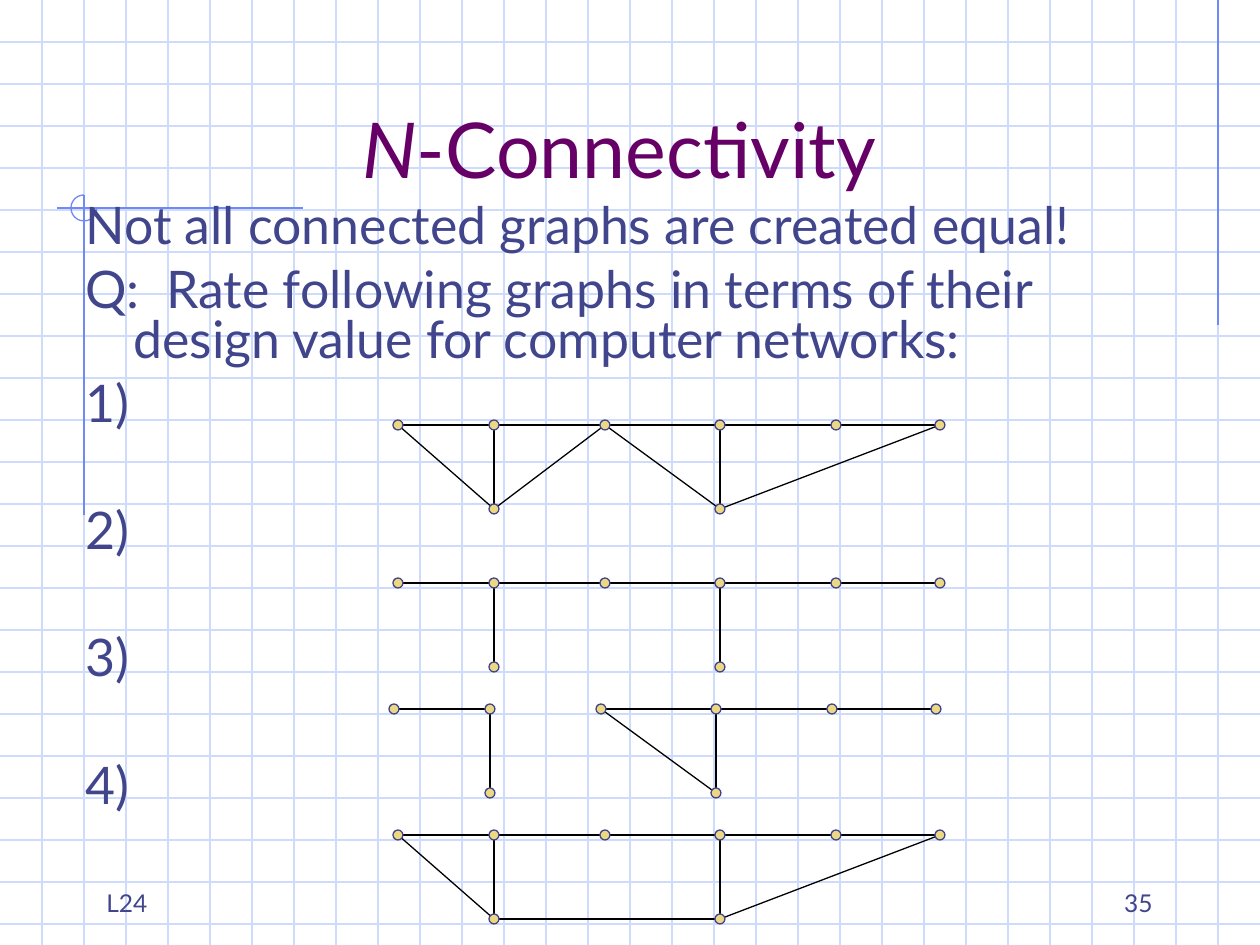
from math import hypot

from lxml.etree import SubElement
from pptx import Presentation
from pptx.dml.color import RGBColor
from pptx.enum.shapes import MSO_CONNECTOR as Connector, MSO_SHAPE as Shape
from pptx.enum.text import MSO_ANCHOR as Anchor, PP_ALIGN as Align
from pptx.oxml.ns import qn
from pptx.util import Pt

WIDTH, HEIGHT = 1260, 945
GRID_STEP = 42
NODE_RADIUS = 5

# Node positions shared by every graph, relative to its top row
NODES = {
    "a": (398, 0), "b": (494, 0), "c": (605, 0),
    "d": (720, 0), "e": (836, 0), "f": (940, 0),
    "g": (494, 84), "h": (720, 84),
}
# Each graph: horizontal shift, top row, edges
GRAPHS = [
    (0, 425, "ab bc cd de ef bg dh ag gc ch hf"),
    (0, 583, "ab bc cd de ef bg dh"),
    (-4, 709, "ab cd de ef bg dh ch"),
    (0, 835, "ab bc cd de ef bg dh ag gh hf"),
]
# Each paragraph: text, space before in points
BODY = [
    ("Not all connected graphs are created equal!", 8),
    ("Q:  Rate following graphs in terms of their design value "
     "for computer networks:", 8),
    ("1)", 8),
    ("2)", 44.4),
    ("3)", 44.4),
    ("4)", 44.4),
]


def emu(px):
    return round(px * 914400 / 126)


def color(text):
    return RGBColor.from_string(text)


class SlideBuilder:
    font = "Lato"
    ink = "40458C"
    title_color = "660066"
    grid = "CFDBFD"
    accent = "6F89F7"
    node_fill = "ECD882"
    edge = "000000"
    line_width = Pt(0.75)

    def __init__(self, page):
        self.page = page

    def line(self, x1, y1, x2, y2, stroke):
        line = self.page.shapes.add_connector(
            Connector.STRAIGHT, emu(x1), emu(y1), emu(x2), emu(y2))
        line.line.color.rgb = color(stroke)
        line.line.width = self.line_width
        SubElement(line._element.spPr, qn("a:effectLst"))

    def round_shape(self, kind, x, y, radius, stroke, fill=None):
        """Add a shape centred on x, y."""
        shape = self.page.shapes.add_shape(
            kind, emu(x - radius), emu(y - radius),
            emu(2 * radius), emu(2 * radius))
        shape.shadow.inherit = False
        shape.line.color.rgb = color(stroke)
        shape.line.width = self.line_width
        if fill:
            shape.fill.solid()
            shape.fill.fore_color.rgb = color(fill)
        else:
            shape.fill.background()
        return shape

    def text(self, left, top, width, height, anchor=Anchor.BOTTOM):
        box = self.page.shapes.add_textbox(
            emu(left), emu(top), emu(width), emu(height))
        frame = box.text_frame
        frame.word_wrap = True
        frame.vertical_anchor = anchor
        return frame

    def span(self, para, text, size, ink=None, italic=False):
        span = para.add_run()
        span.text = text
        span.font.name = self.font
        span.font.size = Pt(size)
        span.font.italic = italic
        span.font.color.rgb = color(ink or self.ink)

    def background(self):
        for y in range(GRID_STEP, HEIGHT, GRID_STEP):
            self.line(0, y, WIDTH, y, self.grid)
        for x in range(GRID_STEP, WIDTH, GRID_STEP):
            self.line(x, 0, x, HEIGHT, self.grid)
        self.line(1218, 0, 1218, 325, self.accent)
        self.line(303, 208, 57, 208, self.accent)
        self.line(84, 195, 84, 515, self.accent)
        arc = self.round_shape(Shape.ARC, 84, 208, 13, self.accent)
        # Angles are in units of 100000/60000 degree: 0 to 270 degrees
        arc.adjustments[0] = 0
        arc.adjustments[1] = 162

    def title(self):
        para = self.text(84, 42, 1071, 158).paragraphs[0]
        para.alignment = Align.CENTER
        self.span(para, "N", 44, self.title_color, italic=True)
        self.span(para, "-Connectivity", 44, self.title_color)

    def body(self):
        frame = self.text(73, 199, 1113, 746, Anchor.TOP)
        for index, (text, space) in enumerate(BODY):
            para = frame.add_paragraph() if index else frame.paragraphs[0]
            para.line_spacing = 0.8
            para.space_before = Pt(space)
            properties = para._p.get_or_add_pPr()
            properties.set("marL", str(emu(48)))
            properties.set("indent", str(emu(-48)))
            self.span(para, text, 29.6)

    def footer(self, left, text, alignment):
        para = self.text(left, 861, 262, 63).paragraphs[0]
        para.alignment = alignment
        self.span(para, text, 14)

    def graph(self, shift, top, edges):
        """Draw edges from rim to rim, then the nodes."""
        spots = {name: (x + shift, y + top) for name, (x, y) in NODES.items()}
        for start, end in edges.split():
            (x1, y1), (x2, y2) = spots[start], spots[end]
            trim = NODE_RADIUS / hypot(x2 - x1, y2 - y1)
            dx, dy = (x2 - x1) * trim, (y2 - y1) * trim
            self.line(x1 + dx, y1 + dy, x2 - dx, y2 - dy, self.edge)
        for x, y in spots.values():
            self.round_shape(Shape.OVAL, x, y, NODE_RADIUS,
                             self.ink, self.node_fill)


def main():
    deck = Presentation()
    deck.slide_width, deck.slide_height = emu(WIDTH), emu(HEIGHT)
    page = deck.slides.add_slide(deck.slide_layouts[6])
    builder = SlideBuilder(page)
    builder.background()
    builder.title()
    builder.body()
    for graph in GRAPHS:
        builder.graph(*graph)
    builder.footer(903, "35", Align.RIGHT)
    builder.footer(94, "L24", Align.LEFT)
    deck.save("out.pptx")


if __name__ == "__main__":
    main()
